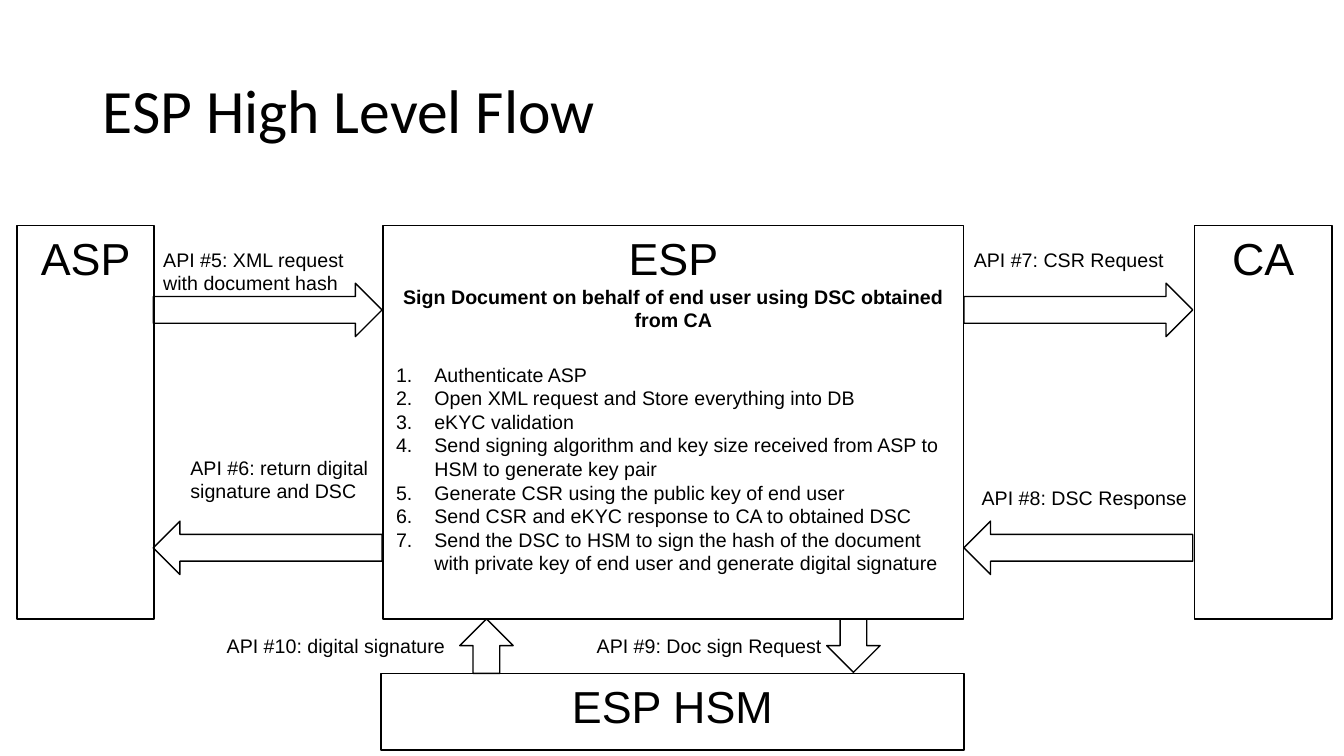
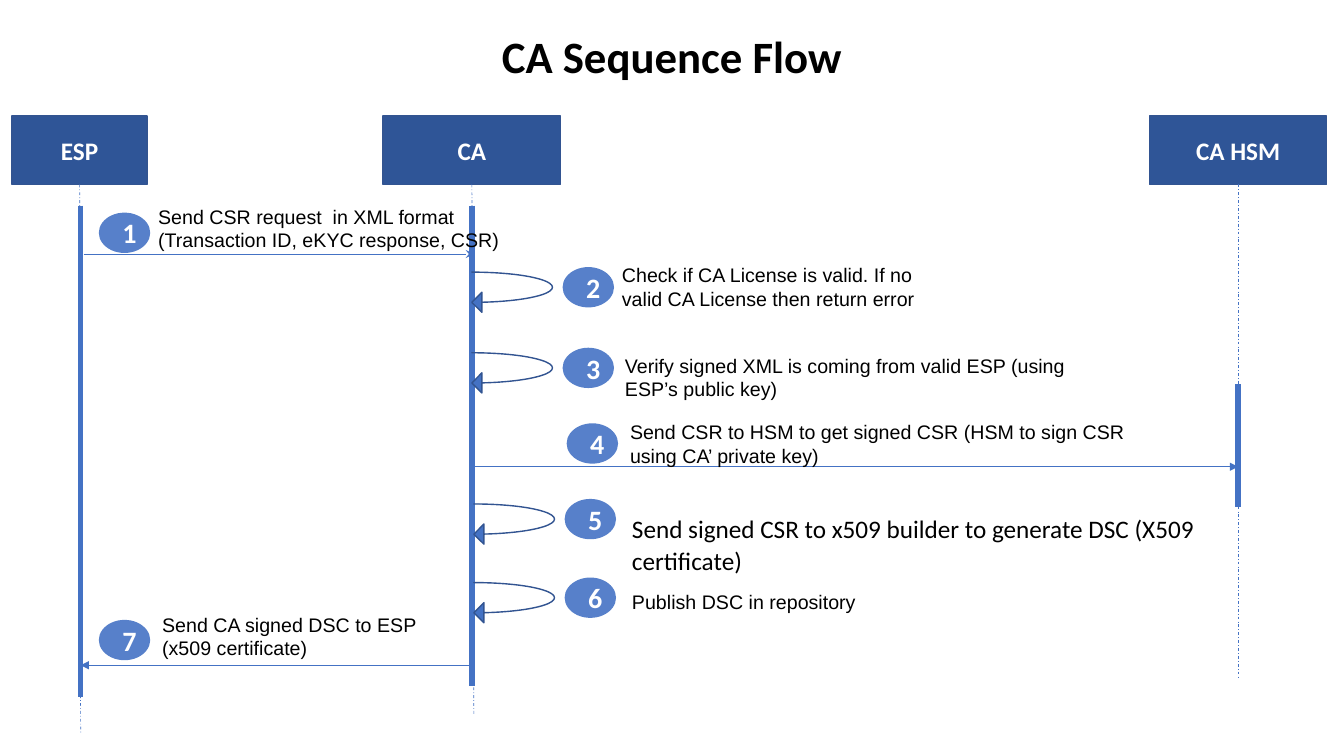
from dataclasses import dataclass
from typing import Optional

from lxml import etree
from pptx import Presentation
from pptx.dml.color import RGBColor
from pptx.enum.dml import MSO_LINE
from pptx.enum.shapes import MSO_CONNECTOR, MSO_SHAPE as SH
from pptx.enum.text import MSO_ANCHOR as ANCHOR, PP_ALIGN as AL
from pptx.oxml.ns import qn
from pptx.util import Inches, Pt

# Shared colours and text styles
BLACK, WHITE = "000000", "FFFFFF"
NAVY, EDGE, BLUE, BADGE = "2F5597", "325491", "4472C4", "5780CA"
BODY = dict(name="Arial", size=Pt(14), bold=False, color=BLACK)
BODY_BOLD = {**BODY, "bold": True}
ACTOR = {**BODY, "size": Pt(32)}
TITLE = dict(name="Calibri", size=Pt(44), bold=False, color=BLACK)
TITLE_BOLD = {**TITLE, "size": Pt(32), "bold": True}
HEADER = dict(name="Calibri", size=Pt(18), bold=True, color=WHITE)
NUMBER = {**HEADER, "size": Pt(20)}
LARGE_NOTE = {**HEADER, "bold": False, "color": BLACK}


@dataclass
class Box:
    x: float
    y: float
    w: float
    h: float
    text: str = ""


@dataclass
class Label(Box):
    wrap: bool = True
    align: AL = AL.LEFT


@dataclass
class Arrow(Box):
    kind: SH = SH.RIGHT_ARROW


@dataclass
class Lifeline:
    header: Box
    end: tuple[float, float]
    active: tuple[float, float, float]  # x, top, bottom


@dataclass
class Step:
    badge: tuple[float, float]
    note: Box
    loop: bool = False
    style: Optional[dict] = None


@dataclass
class Message:
    x1: float
    x2: float
    y: float
    head: str


def rgb(value: str) -> RGBColor:
    return RGBColor.from_string(value)


def place(b: Box) -> list:
    return [Inches(v) for v in (b.x, b.y, b.w, b.h)]


def set_attrs(target, values: dict) -> None:
    for key, value in values.items():
        setattr(target, key, value)


def write(p, text: str, style: dict, **para) -> None:
    set_attrs(p, para)
    r = p.add_run()
    r.text = text
    for key, value in style.items():
        if key == "color":
            r.font.color.rgb = rgb(value)
        else:
            setattr(r.font, key, value)


def add_text(s, b: Box, style: dict, wrap=True, anchor=ANCHOR.TOP, **para):
    tf = s.shapes.add_textbox(*place(b)).text_frame
    set_attrs(tf, dict(word_wrap=wrap, vertical_anchor=anchor))
    write(tf.paragraphs[0], b.text, style, **para)
    return tf


def add_title(s, b: Box, style: dict, align=AL.LEFT) -> None:
    add_text(s, b, style, anchor=ANCHOR.MIDDLE, alignment=align, line_spacing=0.9)


def add_shape(s, kind, b: Box, fill: Optional[str] = None,
              line: Optional[str] = BLACK, style: Optional[dict] = None,
              anchor=ANCHOR.TOP):
    sp = s.shapes.add_shape(kind, *place(b))
    sp.shadow.inherit = False
    if fill:
        sp.fill.solid()
        sp.fill.fore_color.rgb = rgb(fill)
    else:
        sp.fill.background()
    if line:
        sp.line.color.rgb = rgb(line)
        sp.line.width = Pt(1)
    else:
        sp.line.fill.background()
    if style:
        sp.text_frame.vertical_anchor = anchor
        write(sp.text_frame.paragraphs[0], b.text, style, alignment=AL.CENTER)
    return sp


def add_line(s, x1: float, y1: float, x2: float, y2: float, width=0.5,
             dash=None, head: Optional[str] = None):
    c = s.shapes.add_connector(MSO_CONNECTOR.STRAIGHT,
                               *[Inches(v) for v in (x1, y1, x2, y2)])
    c.line.color.rgb = rgb(BLUE)
    c.line.width = Pt(width)
    if dash:
        c.line.dash_style = dash
    if head:
        etree.SubElement(c.line._get_or_add_ln(), qn("a:tailEnd"), type=head)
    etree.SubElement(c._element.spPr, qn("a:effectLst"))
    return c


def number_paragraph(p) -> None:
    pPr = p._p.get_or_add_pPr()
    indent = Inches(0.38)
    pPr.set("marL", str(indent))
    pPr.set("indent", str(-indent))
    etree.SubElement(pPr, qn("a:buFont"), typeface="+mj-lt")
    etree.SubElement(pPr, qn("a:buAutoNum"), type="arabicPeriod")


def high_level_flow(s) -> None:
    add_title(s, Box(0.92, 0.4, 11.5, 1.45, "ESP High Level Flow"), TITLE)

    # Actors
    esp, *_ = [add_shape(s, SH.RECTANGLE, b, style=ACTOR) for b in (
        Box(3.8, 2.24, 5.76, 3.9, "ESP"),
        Box(0.17, 2.24, 1.36, 3.9, "ASP"),
        Box(11.85, 2.24, 1.36, 3.9, "CA"),
        Box(3.78, 6.68, 5.78, 0.76, "ESP HSM"),
    )]
    write(esp.text_frame.add_paragraph(),
          "Sign Document on behalf of end user using DSC obtained from CA",
          BODY_BOLD, alignment=AL.CENTER)

    # Block arrows: requests to the right, responses to the left
    arrows = [Arrow(x, y, 2.27, 0.53, kind=kind) for x in (1.52, 9.56)
              for y, kind in ((2.81, SH.RIGHT_ARROW), (5.17, SH.LEFT_ARROW))]
    arrows += [Arrow(8.2, 6.14, 0.53, 0.53, kind=SH.DOWN_ARROW),
               Arrow(4.56, 6.14, 0.53, 0.54, kind=SH.UP_ARROW)]
    for a in arrows:
        add_shape(s, a.kind, a)

    # API labels
    for b in (
        Label(1.52, 2.41, 2.29, 0.57, "API #5: XML request with document hash"),
        Label(1.79, 4.47, 2.1, 0.57, "API #6: return digital signature and DSC"),
        Label(9.56, 2.41, 2.1, 0.34, "API #7: CSR Request", wrap=False),
        Label(9.56, 4.77, 2.39, 0.34, "API #8: DSC Response", align=AL.CENTER),
        Label(2.15, 6.24, 2.38, 0.34, "API #10: digital signature", wrap=False),
        Label(5.82, 6.24, 2.5, 0.34, "API #9: Doc sign Request", wrap=False),
    ):
        add_text(s, b, BODY, wrap=b.wrap, alignment=b.align)

    # Numbered tasks inside the ESP
    first, *rest = (
        "Authenticate ASP",
        "Open XML request and Store everything into DB",
        "eKYC validation",
        "Send signing algorithm and key size received from ASP to HSM to "
        "generate key pair",
        "Generate CSR using the public key of end user",
        "Send CSR and eKYC response to CA to obtained DSC",
        "Send the DSC to HSM to sign the hash of the document with private "
        "key of end user and generate digital signature",
    )
    tf = add_text(s, Box(3.83, 3.55, 5.73, 2.46, first), BODY)
    for task in rest:
        write(tf.add_paragraph(), task, BODY)
    for p in tf.paragraphs:
        number_paragraph(p)


def ca_sequence_flow(s) -> None:
    add_title(s, Box(0, 0.28, 13.33, 0.61, "CA Sequence Flow"), TITLE_BOLD, AL.CENTER)

    # Lifelines with headers and activation bars
    for life in (
        Lifeline(Box(0.12, 1.15, 1.34, 0.68, "ESP"), (0.8, 7.28), (0.8, 2.04, 6.91)),
        Lifeline(Box(3.8, 1.15, 1.76, 0.68, "CA"), (4.7, 7.09), (4.68, 2.04, 6.81)),
        Lifeline(Box(11.4, 1.15, 1.76, 0.68, "CA HSM"), (12.28, 6.72),
                 (12.28, 3.81, 5.03)),
    ):
        b = life.header
        sp = add_shape(s, SH.RECTANGLE, b, NAVY, EDGE, HEADER, ANCHOR.MIDDLE)
        line = add_line(s, b.x + b.w / 2, b.y + b.h, *life.end,
                        dash=MSO_LINE.DASH_DOT)
        line.begin_connect(sp, 2)
        x, top, bottom = life.active
        add_line(s, x, top, x, bottom, width=4)

    # Messages between lifelines
    for m in (Message(0.83, 4.7, 2.52, "stealth"),
              Message(4.7, 12.28, 4.63, "triangle"),
              Message(4.66, 0.8, 6.6, "triangle")):
        add_line(s, m.x1, m.y, m.x2, m.y, head=m.head)

    # Numbered steps
    steps = (
        Step((0.98, 2.11), Box(1.47, 1.98, 3.72, 0.57,
             "Send CSR request  in XML format (Transaction ID, eKYC response, CSR)")),
        Step((5.58, 2.65), Box(6.07, 2.56, 3.27, 0.57,
             "Check if CA License is valid. If no valid CA License then return error"),
             loop=True),
        Step((5.58, 3.45), Box(6.1, 3.46, 5.06, 0.57,
             "Verify signed XML is coming from valid ESP (using ESP’s public key)"),
             loop=True),
        Step((5.62, 4.2), Box(6.15, 4.12, 5.41, 0.57,
             "Send CSR to HSM to get signed CSR (HSM to sign CSR using CA’ private key)")),
        Step((5.6, 4.95), Box(6.17, 5.02, 5.97, 0.73,
             "Send signed CSR to x509 builder to generate DSC (X509 certificate)"),
             loop=True, style=LARGE_NOTE),
        Step((5.6, 5.73), Box(6.17, 5.8, 5.06, 0.34, "Publish DSC in repository"),
             loop=True),
        Step((0.98, 6.15), Box(1.51, 6.03, 2.79, 0.57,
             "Send CA signed DSC to ESP (x509 certificate)")),
    )
    for number, step in enumerate(steps, 1):
        x, y = step.badge
        sp = add_shape(s, SH.OVAL, Box(x, y, 0.51, 0.4, str(number)),
                       BADGE, None, NUMBER, ANCHOR.MIDDLE)
        set_attrs(sp.text_frame, dict(margin_left=Inches(0.1), margin_right=0,
                                      margin_top=0, margin_bottom=0))
        para = dict(line_spacing=1.07, space_after=Pt(8)) if step.style else {}
        add_text(s, step.note, step.style or BODY, **para)
        if step.loop:
            loop = add_shape(s, SH.CURVED_LEFT_ARROW,
                             Box(x - 0.9, y + 0.05, 0.8, 0.4), BLUE, EDGE)
            for i, value in enumerate((0, 0.5, 0.25)):
                loop.adjustments[i] = value


def main() -> None:
    prs = Presentation()
    prs.slide_width, prs.slide_height = Inches(13.33), Inches(7.5)
    for draw in (high_level_flow, ca_sequence_flow):
        draw(prs.slides.add_slide(prs.slide_layouts[6]))
    prs.save("out.pptx")


if __name__ == "__main__":
    main()
